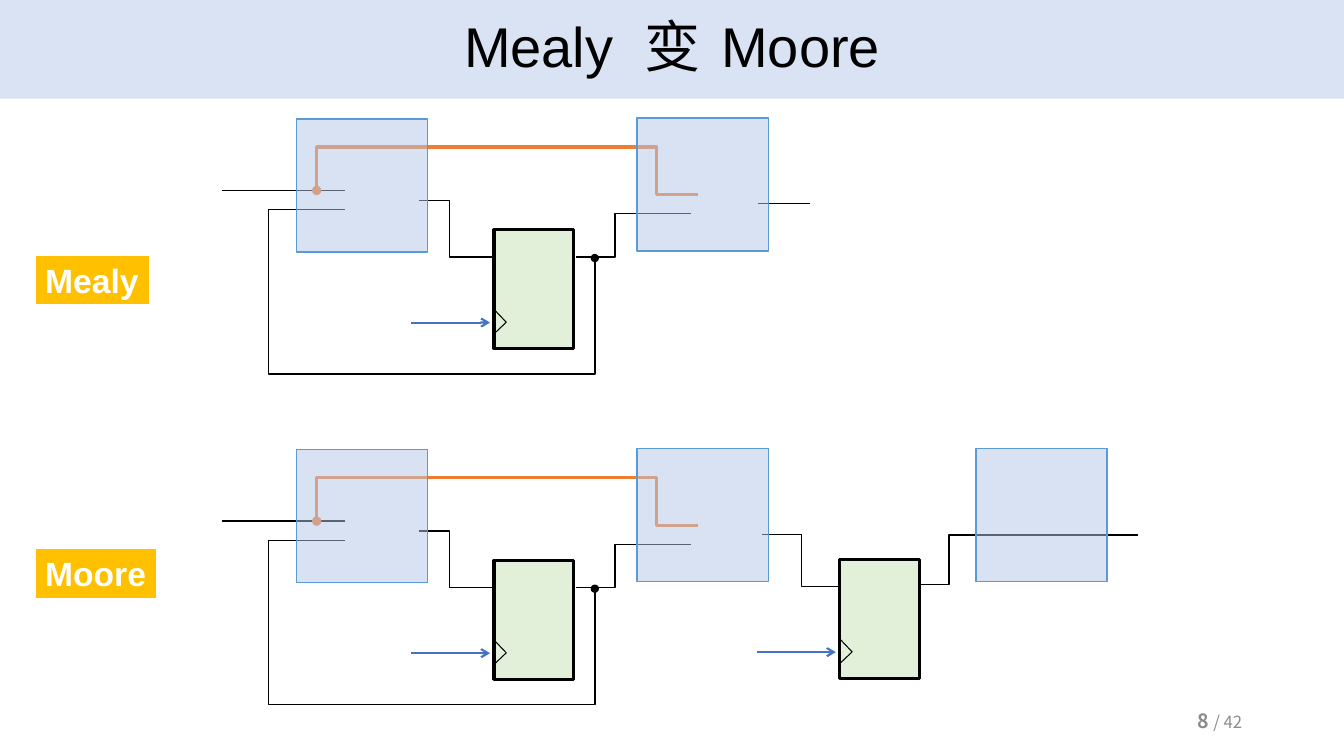
from lxml import etree
from pptx import Presentation
from pptx.dml.color import RGBColor
from pptx.enum.shapes import MSO_CONNECTOR as CONN, MSO_SHAPE as SHAPE
from pptx.enum.text import MSO_ANCHOR as ANCHOR, MSO_AUTO_SIZE as FIT, PP_ALIGN as ALIGN
from pptx.oxml.ns import qn
from pptx.util import Inches, Pt

BLACK = RGBColor(0x00, 0x00, 0x00)
WHITE = RGBColor(0xFF, 0xFF, 0xFF)
BANNER = RGBColor(0xDA, 0xE3, 0xF3)
ORANGE = RGBColor(0xED, 0x7D, 0x31)
CLOCK_BLUE = RGBColor(0x44, 0x72, 0xC4)
LOGIC_FILL = RGBColor(0xB4, 0xC7, 0xE7)
LOGIC_EDGE = RGBColor(0x5B, 0x9B, 0xD5)
GREEN = RGBColor(0xE2, 0xF0, 0xD9)
GOLD = RGBColor(0xFF, 0xC0, 0x00)
GREY = RGBColor(0x8C, 0x8C, 0x8C)
LATIN, CJK = "Arial", "Noto Sans CJK SC"


def add_run(p, text, font, size, color, bold=False):
    r = p.add_run()
    r.text = text
    for name, value in dict(name=font, size=Pt(size), bold=bold).items():
        setattr(r.font, name, value)
    r.font.color.rgb = color
    etree.SubElement(r.font._element, qn("a:ea"), typeface=font)
    return r


def add_block(slide, box, fill=None, edge=None, width=1, kind=SHAPE.RECTANGLE):
    sp = slide.shapes.add_shape(kind, *map(Inches, box))
    sp.shadow.inherit = False
    if fill is None:
        sp.fill.background()
    else:
        sp.fill.solid()
        sp.fill.fore_color.rgb = fill
    if edge is None:
        sp.line.fill.background()
    else:
        sp.line.color.rgb = edge
        sp.line.width = Pt(width)
    return sp


def add_line(slide, kind, start, end, color=BLACK, width=1, head=None, tail=None):
    cx = slide.shapes.add_connector(kind, *map(Inches, (*start, *end)))
    cx.line.color.rgb = color
    cx.line.width = Pt(width)
    ln = cx.line._get_or_add_ln()
    for tag, end_type in (("a:headEnd", head), ("a:tailEnd", tail)):
        if end_type:
            etree.SubElement(ln, qn(tag), type=end_type)
    etree.SubElement(cx._element.spPr, qn("a:effectLst"))
    return cx


def set_bends(cx, preset, bends):
    geom = cx._element.spPr.find(qn("a:prstGeom"))
    geom.set("prst", preset)
    guides = geom.find(qn("a:avLst"))
    if guides is None:
        guides = etree.SubElement(geom, qn("a:avLst"))
    for i, bend in enumerate(bends, 1):
        etree.SubElement(guides, qn("a:gd"), name=f"adj{i}",
                         fmla=f"val {round(bend * 100000)}")


def add_step(slide, start, end, bend_x):
    cx = add_line(slide, CONN.ELBOW, start, end)
    set_bends(cx, "bentConnector3", [(bend_x - start[0]) / (end[0] - start[0])])


def add_loop(slide, start, end, bend_y, bend_x, **style):
    (x1, y1), (x2, y2) = start, end
    mid_x, mid_y = (x1 + x2) / 2, (y1 + y2) / 2
    half_w, half_h = abs(y2 - y1) / 2, abs(x2 - x1) / 2
    cx = add_line(slide, CONN.ELBOW, (mid_x + half_w, mid_y - half_h),
                  (mid_x - half_w, mid_y + half_h), head="oval", **style)
    turn = 270 if x2 > x1 else 90
    cx._element.spPr.find(qn("a:xfrm")).set("rot", str(turn * 60000))
    set_bends(cx, "bentConnector4", [(bend_y - y1) / (y2 - y1), (bend_x - x1) / (x2 - x1)])


def add_logic(slide, x, y):
    sp = add_block(slide, (x, y, 1.3, 1.32), LOGIC_FILL, LOGIC_EDGE)
    color = sp.fill._xPr.find(qn("a:solidFill"))[0]
    etree.SubElement(color, qn("a:alpha"), val="50000")


def add_register(slide, x, y):
    add_line(slide, CONN.STRAIGHT, (x - 0.82, y + 0.92), (x - 0.04, y + 0.92),
             CLOCK_BLUE, 1.5, tail="arrow")
    add_block(slide, (x, y, 0.79, 1.18), GREEN, BLACK, 2.25)
    notch = add_block(slide, (x - 0.08, y + 0.83, 0.17, 0.16), None, BLACK, 0.75,
                      SHAPE.RIGHT_TRIANGLE)
    notch.rotation = 226.4


def add_machine(slide, x, y):
    def at(dx, dy):
        return x + dx, y + dy

    add_line(slide, CONN.STRAIGHT, at(0, 0.72), at(1.22, 0.72))
    add_loop(slide, at(0.94, 0.72), at(4.72, 0.76), y + 0.29, x + 4.31,
             color=ORANGE, width=2.25)
    add_loop(slide, at(3.7, 1.39), at(1.22, 0.91), y + 2.54, x + 0.46)
    add_step(slide, at(1.96, 0.82), at(2.71, 1.38), x + 2.26)
    add_register(slide, *at(2.7, 1.11))
    add_step(slide, at(3.51, 1.38), at(4.65, 0.95), x + 3.9)
    add_logic(slide, *at(0.74, 0.01))
    add_logic(slide, *at(4.12, 0))


def add_output_stage(slide, x, y):
    add_step(slide, (x + 1.55, y + 1.35), (x + 3.73, y + 0.86), x + 1.85)
    add_step(slide, (x, y + 0.85), (x + 0.79, y + 1.37), x + 0.39)
    add_register(slide, x + 0.77, y + 1.1)
    add_logic(slide, x + 2.12, y)


def add_title(slide, box):
    sp = add_block(slide, box, BANNER)
    sp.text_frame.vertical_anchor = ANCHOR.MIDDLE
    p = sp.text_frame.paragraphs[0]
    p.alignment = ALIGN.CENTER
    p.line_spacing = 0.9
    add_run(p, "Mealy  ", LATIN, 40, BLACK)
    r = add_run(p, "变 ", CJK, 40, BLACK)
    r.font._element.set("spc", "300")
    add_run(p, "Moore", LATIN, 40, BLACK)


def add_label(slide, box, text):
    sp = add_block(slide, box, GOLD, WHITE, 1.5)
    tf = sp.text_frame
    for name, value in dict(word_wrap=False, auto_size=FIT.SHAPE_TO_FIT_TEXT,
                            vertical_anchor=ANCHOR.TOP).items():
        setattr(tf, name, value)
    tf.paragraphs[0].alignment = ALIGN.LEFT
    add_run(tf.paragraphs[0], text, LATIN, 24, WHITE, True)


def add_page_number(slide, box):
    tf = slide.shapes.add_textbox(*map(Inches, box)).text_frame
    tf.word_wrap = True
    tf.vertical_anchor = ANCHOR.MIDDLE
    p = tf.paragraphs[0]
    p.alignment = ALIGN.RIGHT
    add_run(p, "8", CJK, 14, GREY, True)
    add_run(p, " / 42", CJK, 12, GREY)


def main():
    prs = Presentation()
    prs.slide_width, prs.slide_height = Inches(13.33), Inches(7.5)
    slide = prs.slides.add_slide(prs.slide_layouts[6])
    add_title(slide, (0, 0, 13.33, 0.98))
    add_line(slide, CONN.STRAIGHT, (7.52, 2.02), (8.03, 2.02))
    add_machine(slide, 2.2, 1.17)
    add_output_stage(slide, 7.56, 4.45)
    add_machine(slide, 2.2, 4.45)
    add_label(slide, (0.35, 2.53, 1.14, 0.5), "Mealy")
    add_label(slide, (0.35, 5.44, 1.21, 0.5), "Moore")
    add_page_number(slide, (9.42, 6.95, 3, 0.4))
    prs.save("out.pptx")


if __name__ == "__main__":
    main()
